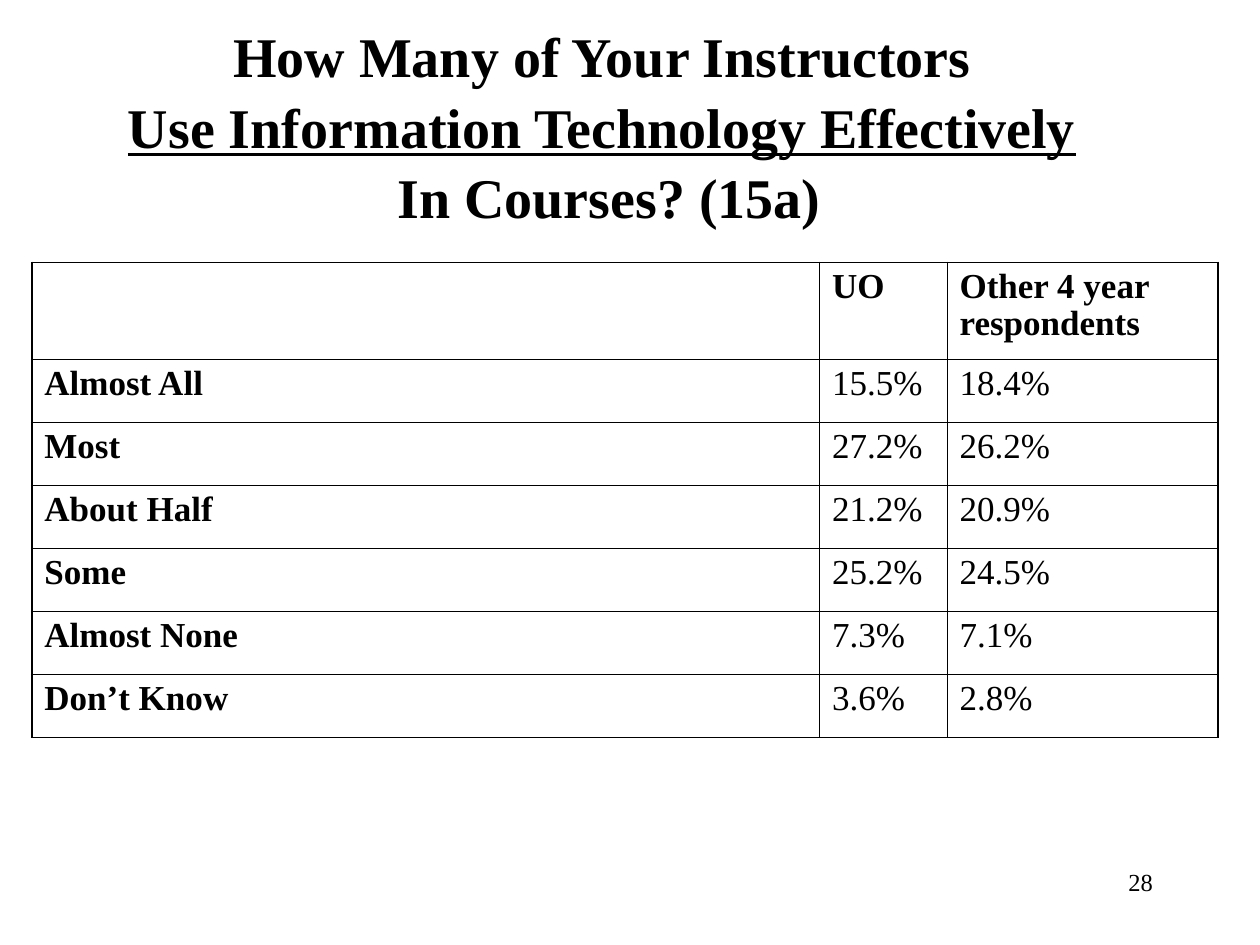
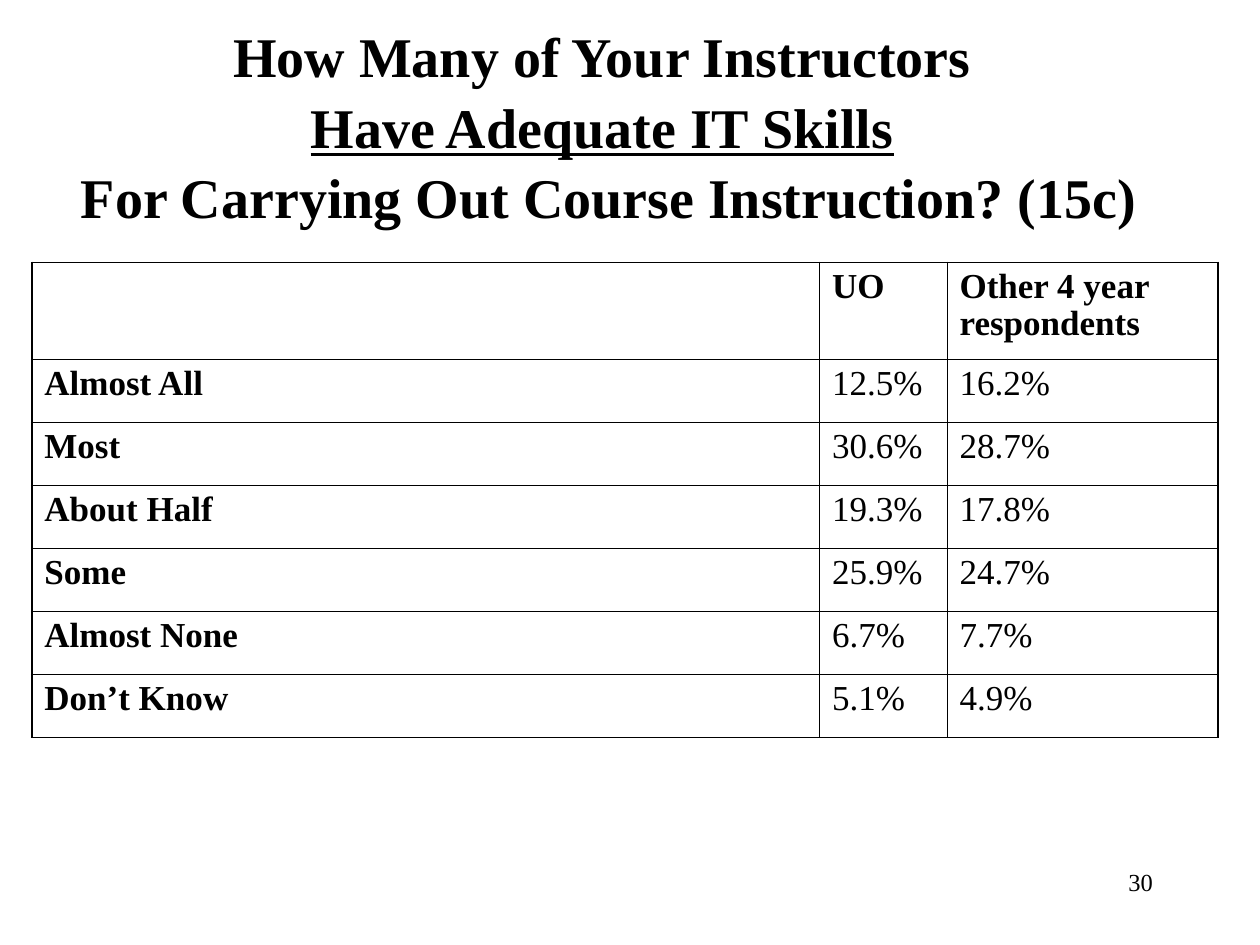
from lxml import etree
from pptx import Presentation
from pptx.dml.color import RGBColor
from pptx.enum.text import MSO_ANCHOR, PP_ALIGN
from pptx.oxml.ns import qn
from pptx.util import Cm, Pt

CENTER, RIGHT = PP_ALIGN.CENTER, PP_ALIGN.RIGHT
MIDDLE, TOP = MSO_ANCHOR.MIDDLE, MSO_ANCHOR.TOP

FONT = "Times New Roman"
INK = "000000"
PAPER = "FFFFFF"
OUTER_RULE, INNER_RULE = Pt(1.08), Pt(0.45)

# Boxes are left, top, width, height in centimetres.
TITLE_BOX = (0, 0.64, 24.56, 3.6)
TABLE_BOX = (0.64, 5.29, 23.92, 9.58)
NUMBER_BOX = (18.21, 17.35, 5.28, 1.27)
VALUE_COLUMNS = (2.57, 5.47)
HEADER_HEIGHT = 1.96

HEADERS = ("", "UO", "Other 4 year respondents")
ANSWERS = ("Almost All", "Most", "About Half", "Some", "Almost None", "Don’t Know")

QUESTIONS = [
    {
        "topic": "Use Information Technology Effectively",
        "ending": "In Courses? (15a)",
        "uo": ("15.5%", "27.2%", "21.2%", "25.2%", "7.3%", "3.6%"),
        "others": ("18.4%", "26.2%", "20.9%", "24.5%", "7.1%", "2.8%"),
        "number": 28,
    },
    {
        "topic": "Have Adequate IT Skills",
        "ending": "For Carrying Out Course Instruction? (15c)",
        "uo": ("12.5%", "30.6%", "19.3%", "25.9%", "6.7%", "5.1%"),
        "others": ("16.2%", "28.7%", "17.8%", "24.7%", "7.7%", "4.9%"),
        "number": 30,
    },
]


def rgb(code):
    return RGBColor.from_string(code)


def style_font(font, size, bold=False):
    font.name = FONT
    font.size = Pt(size)
    font.bold = bold
    font.color.rgb = rgb(INK)


def add_text_frame(slide, box, anchor):
    frame = slide.shapes.add_textbox(*map(Cm, box)).text_frame
    frame.word_wrap = True
    frame.vertical_anchor = anchor
    return frame


def add_title(slide, box, topic, ending):
    """Three centred lines, with the topic underlined in the middle."""
    frame = add_text_frame(slide, box, MIDDLE)
    frame.margin_bottom = 0
    title = frame.paragraphs[0]
    title.alignment = CENTER
    title.line_spacing = 1.05

    def add_piece(text, underline=False):
        run = title.add_run()
        run.text = text
        style_font(run.font, 32, bold=True)
        run.font.underline = underline

    add_piece("How Many of Your Instructors ")
    title.add_line_break()
    add_piece(topic, underline=True)
    add_piece(" ")
    title.add_line_break()
    add_piece(ending)


def add_slide_number(slide, box, number):
    paragraph = add_text_frame(slide, box, TOP).paragraphs[0]
    paragraph.text = str(number)
    paragraph.alignment = RIGHT
    style_font(paragraph.runs[0].font, 14)


def draw_border(cell, side, width):
    """Draw one side (L, R, T or B) of a cell."""
    line = etree.SubElement(cell._tc.get_or_add_tcPr(), qn(f"a:ln{side}"), w=str(width))
    fill = etree.SubElement(line, qn("a:solidFill"))
    etree.SubElement(fill, qn("a:srgbClr"), val=INK)


def add_answer_table(slide, box, rows):
    left, top, width, height = box
    row_count, column_count = len(rows), len(rows[0])
    table = slide.shapes.add_table(row_count, column_count, *map(Cm, box)).table
    table.first_row = table.horz_banding = False

    column_widths = (width - sum(VALUE_COLUMNS), *VALUE_COLUMNS)
    for column, column_width in zip(table.columns, column_widths):
        column.width = Cm(column_width)
    answer_height = (height - HEADER_HEIGHT) / (row_count - 1)
    for r, row in enumerate(table.rows):
        row.height = Cm(answer_height if r else HEADER_HEIGHT)

    for r, texts in enumerate(rows):
        for c, text in enumerate(texts):
            cell = table.cell(r, c)
            on_edge = {
                "L": c == 0,
                "R": c == column_count - 1,
                "T": r == 0,
                "B": r == row_count - 1,
            }
            for side, outer in on_edge.items():
                draw_border(cell, side, OUTER_RULE if outer else INNER_RULE)
            cell.fill.background()
            paragraph = cell.text_frame.paragraphs[0]
            paragraph.text = text
            paragraph.line_spacing = 0.95
            style_font(paragraph.font, 20, bold=r == 0 or c == 0)
            for run in paragraph.runs:
                style_font(run.font, 20, bold=r == 0 or c == 0)


def add_question_slide(deck, question):
    slide = deck.slides.add_slide(deck.slide_layouts[6])
    slide.background.fill.solid()
    slide.background.fill.fore_color.rgb = rgb(PAPER)
    add_slide_number(slide, NUMBER_BOX, question["number"])
    add_title(slide, TITLE_BOX, question["topic"], question["ending"])
    rows = [HEADERS, *zip(ANSWERS, question["uo"], question["others"])]
    add_answer_table(slide, TABLE_BOX, rows)


def main():
    deck = Presentation()
    deck.slide_width, deck.slide_height = Cm(25.4), Cm(19.05)
    for question in QUESTIONS:
        add_question_slide(deck, question)
    deck.save("out.pptx")


if __name__ == "__main__":
    main()
